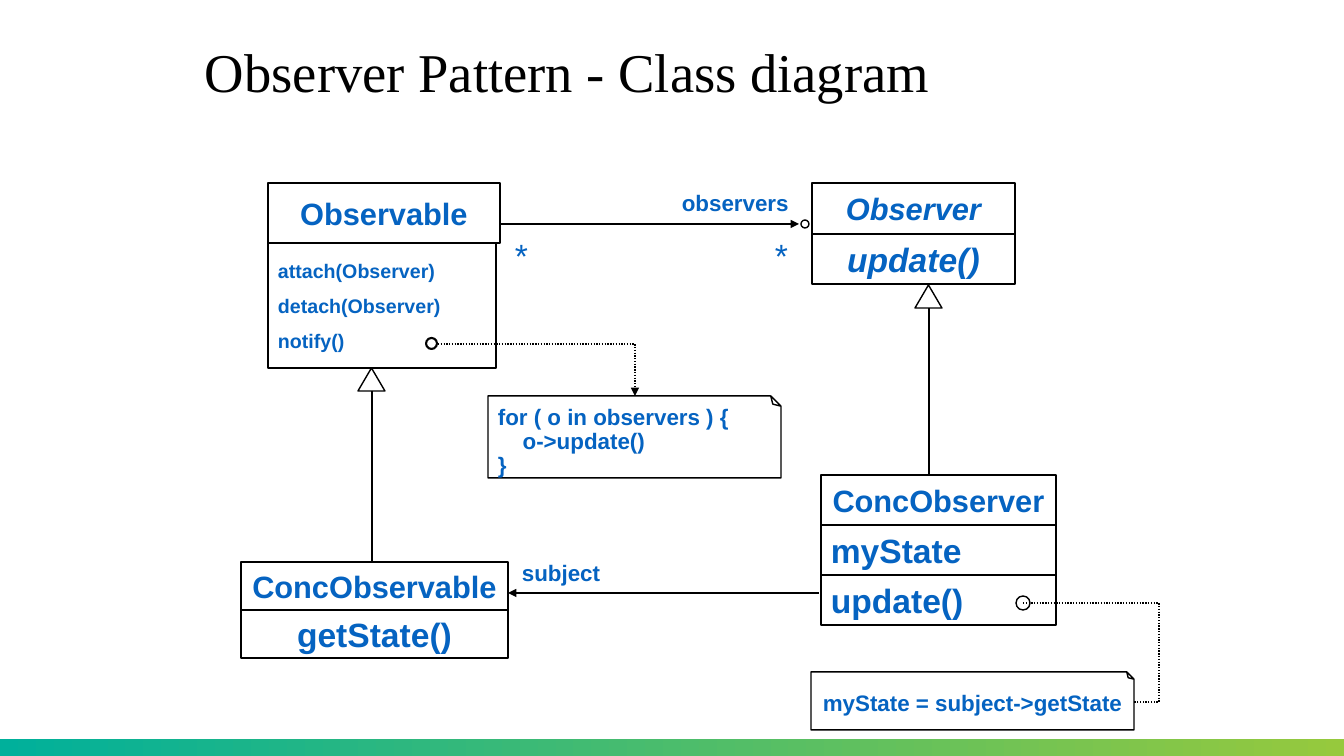
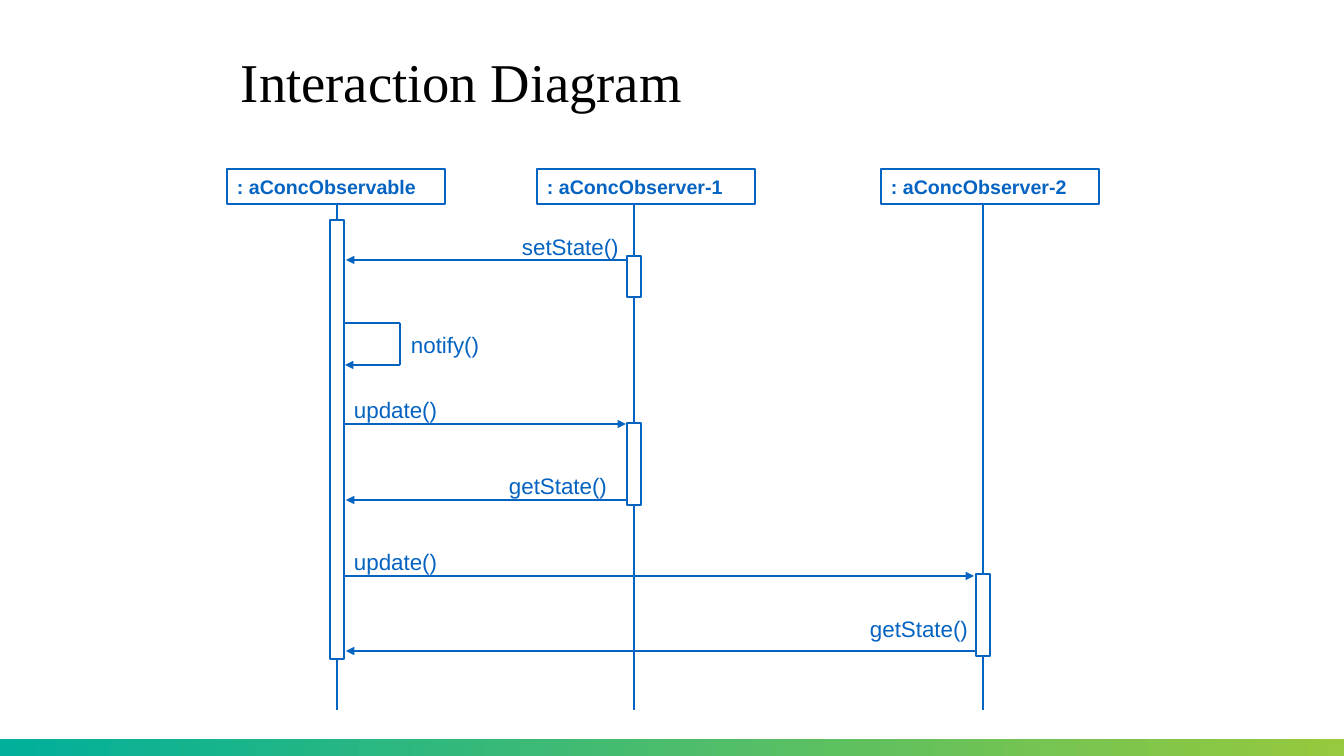
import pptx
import pptx.util
import pptx.dml.color
import pptx.enum.dml
import pptx.enum.shapes
import pptx.enum.text
import pptx.oxml
import pptx.oxml.ns
import lxml.etree

PX = 12192000 / 1344
COLORS = {"title": "000000", "outline": "000000", "accent": "0563C1",
          "paper": "FFFFFF", "band_from": "00B09B", "band_to": "96C93D"}
SHAPE = pptx.enum.shapes.MSO_SHAPE
CONNECTOR = pptx.enum.shapes.MSO_CONNECTOR
ANCHOR = pptx.enum.text.MSO_ANCHOR
ALIGN = pptx.enum.text.PP_ALIGN


def px(n):
    return pptx.util.Emu(round(n * PX))


def rgb(name):
    return pptx.dml.color.RGBColor.from_string(COLORS[name])


def child(parent, tag, **attrs):
    el = lxml.etree.SubElement(parent, pptx.oxml.ns.qn(tag))
    for key, value in attrs.items():
        el.set(key, value)
    return el


def set_guide(geom, name, ratio):
    guides = geom.find(pptx.oxml.ns.qn("a:avLst"))
    if guides is None:
        guides = child(geom, "a:avLst")
    child(guides, "a:gd", name=name, fmla=f"val {round(ratio * 100000)}")


def write(sp, lines, size, color="accent", font="Arial", bold=False, italic=False,
          align=ALIGN.LEFT, anchor=ANCHOR.MIDDLE, wrap=False, spacing=1.0, gap=0, inset=None):
    tf = sp.text_frame
    tf.word_wrap = wrap
    tf.vertical_anchor = anchor
    if inset is not None:
        tf.margin_left = tf.margin_right = tf.margin_top = tf.margin_bottom = px(inset)
    for i, line in enumerate(lines):
        p = tf.add_paragraph() if i else tf.paragraphs[0]
        p.text = line
        p.alignment = align
        p.line_spacing = spacing
        p.space_before = pptx.util.Pt(gap if i else 0)
        p.font.name = font
        p.font.size = pptx.util.Pt(size)
        p.font.bold = bold
        p.font.italic = italic
        p.font.color.rgb = rgb(color)


def add_text(slide, x, y, w, h, text, size, **style):
    sp = slide.shapes.add_textbox(px(x), px(y), px(w), px(h))
    write(sp, [text], size, wrap=True, **style)


def add_shape(slide, kind, x, y, w, h, fill=None, line="outline", width=1):
    sp = slide.shapes.add_shape(kind, px(x), px(y), px(w), px(h))
    sp.shadow.inherit = False
    if fill:
        sp.fill.solid()
        sp.fill.fore_color.rgb = rgb(fill)
    else:
        sp.fill.background()
    sp.line.color.rgb = rgb(line)
    sp.line.width = pptx.util.Pt(width)
    return sp


def add_line(slide, x1, y1, x2, y2, color="outline", arrow=False, dotted=False,
             kind=CONNECTOR.STRAIGHT):
    cx = slide.shapes.add_connector(kind, px(x1), px(y1), px(x2), px(y2))
    cx.line.color.rgb = rgb(color)
    cx.line.width = pptx.util.Pt(1)
    if dotted:
        cx.line.dash_style = pptx.enum.dml.MSO_LINE.ROUND_DOT
    if arrow:
        child(cx.get_or_add_ln(), "a:tailEnd", type="triangle")
    child(cx.element.spPr, "a:effectLst")
    return cx


def add_elbow(slide, x1, y1, x2, y2, turn_x=None, arrow=False):
    cx = add_line(slide, x1, y1, x2, y2, arrow=arrow, dotted=True, kind=CONNECTOR.ELBOW)
    geom = cx.element.spPr.find(pptx.oxml.ns.qn("a:prstGeom"))
    if turn_x is None:
        geom.set("prst", "bentConnector2")
    else:
        set_guide(geom, "adj1", (turn_x - x1) / (x2 - x1))


def add_slide(prs, title, x, y, w, h):
    slide = prs.slides.add_slide(prs.slide_layouts[6])
    band = add_shape(slide, SHAPE.RECTANGLE, 0, 739, 1344, 17)
    band.line.fill.background()
    band.fill.gradient()
    band.fill.gradient_angle = 0
    for stop, name in zip(band.fill.gradient_stops, ("band_from", "band_to")):
        stop.color.rgb = rgb(name)
    add_text(slide, x, y, w, h, title, 39, color="title", font="Times New Roman", spacing=0.9)
    return slide


def class_box(slide, x, y, w, rows, italic=False):
    for h, size, align, lines in rows:
        sp = add_shape(slide, SHAPE.RECTANGLE, x, y, w, h)
        write(sp, lines, size, bold=True, italic=italic, align=align, gap=8)
        y += h


def note(slide, x, y, w, h, lines, align=ALIGN.LEFT):
    sp = add_shape(slide, SHAPE.FOLDED_CORNER, x, y, w, h)
    spPr = sp.element.spPr
    set_guide(spPr.find(pptx.oxml.ns.qn("a:prstGeom")), "adj", 0.125)
    spPr.find(pptx.oxml.ns.qn("a:xfrm")).set("flipV", "1")
    write(sp, lines, 16, bold=True, align=align, spacing=0.9)
    sp.element.txBody.find(pptx.oxml.ns.qn("a:bodyPr")).set("rot", "10800000")


def inheritance(slide, x, y, length):
    add_shape(slide, SHAPE.ISOSCELES_TRIANGLE, x - 14, y, 27, 23)
    add_line(slide, x, y + 23, x, y + length)


def observable_side(slide, x, y):
    class_box(slide, x + 27, y, 232, [(60, 22, ALIGN.CENTER, ["Observable"])])
    class_box(slide, x + 27, y + 60, 228, [
        (125, 14, ALIGN.LEFT, ["attach(Observer)", "detach(Observer)", "notify()"])])
    class_box(slide, x, y + 379, 267, [
        (48, 22, ALIGN.CENTER, ["ConcObservable"]),
        (48, 24, ALIGN.CENTER, ["getState()"])])
    inheritance(slide, x + 131, y + 185, 194)
    note(slide, x + 247, y + 213, 293, 82,
         ["for ( o in observers ) {", "    o->update()", "}"])
    add_shape(slide, SHAPE.OVAL, x + 185, y + 155, 11, 11, width=1.5)
    add_elbow(slide, x + 197, y + 161, x + 394, y + 213, arrow=True)


def observer_side(slide, x, y):
    class_box(slide, x + 1, y, 203, [
        (51, 22, ALIGN.CENTER, ["Observer"]),
        (50, 24, ALIGN.CENTER, ["update()"])], italic=True)
    class_box(slide, x + 10, y + 292, 235, [
        (50, 22, ALIGN.CENTER, ["ConcObserver"]),
        (50, 24, ALIGN.LEFT, ["myState"]),
        (50, 24, ALIGN.LEFT, ["update()"])])
    inheritance(slide, x + 118, y + 102, 190)
    note(slide, x, y + 489, 323, 58, ["myState = subject->getState"], ALIGN.CENTER)
    add_shape(slide, SHAPE.OVAL, x + 205, y + 413, 14, 14)
    add_elbow(slide, x + 212, y + 420, x + 323, y + 519, turn_x=x + 348)


def associations(slide, x, y):
    add_line(slide, x, y + 41, x + 299, y + 41, arrow=True)
    add_shape(slide, SHAPE.OVAL, x + 301, y + 37, 8, 8)
    add_text(slide, x + 172, y + 1, 150, 37, "observers", 16, bold=True)
    for dx in (11, 271):
        add_text(slide, x + dx, y + 55, 17, 38, "*", 24, align=ALIGN.RIGHT,
                 anchor=ANCHOR.BOTTOM, spacing=0.95, inset=0)
    add_line(slide, x + 319, y + 410, x + 8, y + 410, arrow=True)
    add_text(slide, x + 12, y + 371, 112, 37, "subject", 16, bold=True)


def lifelines(slide, x, y):
    names = [": aConcObservable", ": aConcObserver-1", ": aConcObserver-2"]
    axes = [110, 407, 756]
    for name, dx, axis in zip(names, (0, 310, 654), axes):
        sp = add_shape(slide, SHAPE.RECTANGLE, x + dx, y, 218, 35, line="accent")
        write(sp, [name], 14, bold=True, wrap=True)
        add_line(slide, x + axis, y + 35, x + axis, y + 541, color="accent")
    for i, top, h in [(0, 51, 439), (1, 87, 41), (1, 254, 82), (2, 405, 82)]:
        add_shape(slide, SHAPE.RECTANGLE, x + axes[i] - 7, y + top, 14, h,
                  fill="paper", line="accent")


def messages(slide, x, y):
    calls = [("setState()", 400, 119, 91, 285, 59),
             ("update()", 118, 399, 255, 117, 222),
             ("getState()", 400, 119, 331, 272, 298),
             ("update()", 118, 747, 407, 117, 374),
             ("getState()", 749, 119, 482, 633, 441)]
    for text, start, end, dy, label_x, label_y in calls:
        add_line(slide, x + start, y + dy, x + end, y + dy, color="accent", arrow=True)
        add_text(slide, x + label_x, y + label_y, 128, 37, text, 16)
    corners = [(118, 154), (173, 154), (173, 196), (118, 196)]
    for i, ((x1, y1), (x2, y2)) in enumerate(zip(corners, corners[1:])):
        add_line(slide, x + x1, y + y1, x + x2, y + y2, color="accent", arrow=i == 2)
    add_text(slide, x + 174, y + 157, 128, 37, "notify()", 16)


def class_diagram(prs):
    slide = add_slide(prs, "Observer Pattern - Class diagram", 195, 33, 914, 84)
    observable_side(slide, 241, 183)
    observer_side(slide, 811, 183)
    associations(slide, 500, 183)


def interaction_diagram(prs):
    slide = add_slide(prs, "Interaction Diagram", 231, 38, 806, 93)
    lifelines(slide, 227, 169)
    messages(slide, 227, 169)


def main():
    prs = pptx.Presentation()
    prs.slide_width, prs.slide_height = px(1344), px(756)
    class_diagram(prs)
    interaction_diagram(prs)
    prs.save("out.pptx")


if __name__ == "__main__":
    main()
